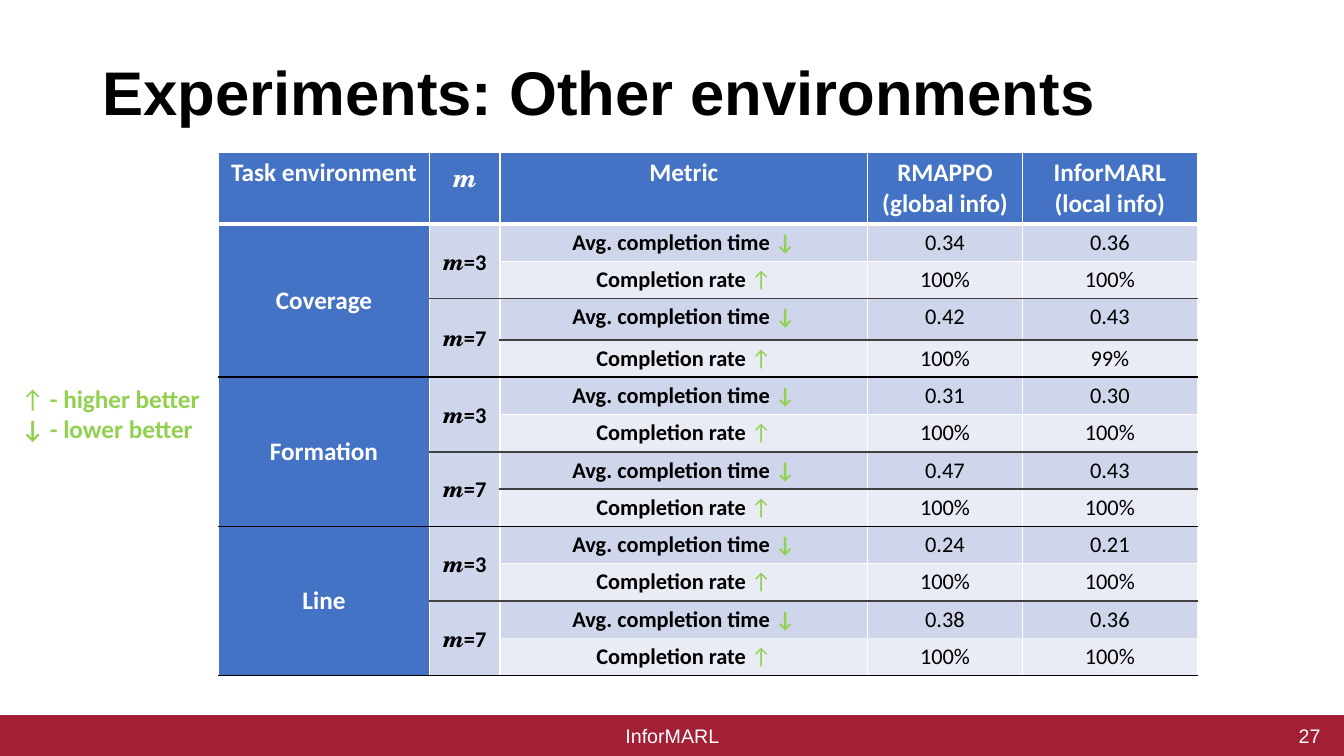
"""Build the slide comparing RMAPPO and InforMARL in three other environments."""
from dataclasses import dataclass
from typing import Optional

from lxml import etree
from pptx import Presentation
from pptx import util as u
from pptx.dml.color import RGBColor
from pptx.enum import shapes, text
from pptx.oxml.ns import qn

WHITE, BLACK, DARK = "FFFFFF", "000000", "404040"
BLUE, BAND, PALE = "4472C4", "CFD5EA", "E9EBF5"
GREEN, RED = "92D050", "A31F34"
MATH = "TeX Gyre Schola"
LEFT, CENTER, RIGHT = text.PP_ALIGN.LEFT, text.PP_ALIGN.CENTER, text.PP_ALIGN.RIGHT
TOP, MIDDLE = text.MSO_ANCHOR.TOP, text.MSO_ANCHOR.MIDDLE


@dataclass(frozen=True)
class Style:
    size: float
    color: str
    bold: bool = False
    font: str = "Calibri"
    align: text.PP_ALIGN = CENTER


@dataclass(frozen=True)
class Run:
    words: str
    color: Optional[str] = None
    bold: Optional[bool] = None
    font: Optional[str] = None
    italic: Optional[bool] = None


@dataclass(frozen=True)
class Line:
    color: str
    width: float


@dataclass(frozen=True)
class Result:
    agents: int
    times: tuple[str, str]
    rates: tuple[str, str] = ("100%", "100%")


@dataclass(frozen=True)
class Label:
    words: str
    left: float
    width: float
    align: text.PP_ALIGN


HEAD = Style(18, WHITE, True)
BODY = Style(16, BLACK)
STRONG = Style(16, BLACK, True)
LEGEND = Style(18, GREEN, True, align=LEFT)
M = Run("m", font=MATH, italic=True)
UP, DOWN = Run("↑", color=GREEN, bold=False), Run("↓", color=GREEN)
THIN = Line(WHITE, 1)

COLUMNS = (5.31, 1.78, 9.27, 3.89, 4.42)
HEADER = (
    [[Run("Task environment")]],
    [[M]],
    [[Run("Metric")]],
    [[Run("RMAPPO (global info)")]],
    [[Run("InforMARL")], [Run("(local info)")]],
)
RESULTS = {
    "Coverage": (Result(3, ("0.34", "0.36")), Result(7, ("0.42", "0.43"), ("100%", "99%"))),
    "Formation": (Result(3, ("0.31", "0.30")), Result(7, ("0.47", "0.43"))),
    "Line": (Result(3, ("0.24", "0.21")), Result(7, ("0.38", "0.36"))),
}
LABELS = (Label("InforMARL", 11.23, 11.43, CENTER), Label("27", 25.91, 7.62, RIGHT))
EDGES = {
    1: Line(WHITE, 3),
    **{row: Line(DARK, 1.5) for row in (3, 4, 7, 8, 11)},
    **{row: Line(BLACK, 1) for row in (5, 9, 13)},
    12: None,
}


def rgb(value: str) -> RGBColor:
    return RGBColor.from_string(value)


def write(tf, lines: list[list[Run]], style: Style) -> None:
    for i, runs in enumerate(lines):
        p = tf.paragraphs[0] if i == 0 else tf.add_paragraph()
        p.alignment = style.align
        p.font.size, p.font.bold, p.font.name = u.Pt(style.size), style.bold, style.font
        p.font.color.rgb = rgb(style.color)
        for run in runs:
            r = p.add_run()
            r.text = run.words
            if run.color:
                r.font.color.rgb = rgb(run.color)
            if run.bold is not None:
                r.font.bold = run.bold
            if run.font:
                r.font.name = run.font
            if run.italic:
                r.font.italic = True


def add_border(cell, side: str, line: Optional[Line]) -> None:
    props = cell._tc.get_or_add_tcPr()
    ln = etree.SubElement(props, qn(f"a:ln{side}"))
    if line is None:
        etree.SubElement(ln, qn("a:noFill"))
        return
    ln.set("w", str(u.Pt(line.width)))
    fill = etree.SubElement(ln, qn("a:solidFill"))
    etree.SubElement(fill, qn("a:srgbClr"), val=line.color)


def fill_cell(table, row: int, col: int, lines: list[list[Run]], style: Style,
              fill: str, span: int = 1, anchor: text.MSO_ANCHOR = TOP) -> None:
    cell = table.cell(row, col)
    if span > 1:
        cell.merge(table.cell(row + span - 1, col))
    borders = {"L": THIN, "R": THIN, "T": EDGES.get(row, THIN), "B": EDGES.get(row + span, THIN)}
    for side, line in borders.items():
        add_border(cell, side, line)
    cell.fill.solid()
    cell.fill.fore_color.rgb = rgb(fill)
    cell.vertical_anchor = anchor
    write(cell.text_frame, lines, style)


def add_results(s) -> None:
    heights = [1.79] + [0.94] * 12
    heights[3] = 1.04
    table = s.shapes.add_table(len(heights), len(COLUMNS), u.Cm(5.51), u.Cm(3.85),
                               u.Cm(sum(COLUMNS)), u.Cm(sum(heights))).table
    for column, width in zip(table.columns, COLUMNS):
        column.width = u.Cm(width)
    for row, height in zip(table.rows, heights):
        row.height = u.Cm(height)
    for col, lines in enumerate(HEADER):
        fill_cell(table, 0, col, lines, HEAD, BLUE)
    for i, (task, results) in enumerate(RESULTS.items()):
        first = 1 + 4 * i
        fill_cell(table, first, 0, [[Run(task)]], HEAD, BLUE, 4, MIDDLE)
        for j, result in enumerate(results):
            row = first + 2 * j
            fill_cell(table, row, 1, [[M, Run(f"={result.agents}")]], STRONG, BAND, 2, MIDDLE)
            metrics = (
                ("Avg. completion time ", DOWN, result.times, BAND),
                ("Completion rate ", UP, result.rates, PALE),
            )
            for k, (metric, arrow, values, fill) in enumerate(metrics):
                fill_cell(table, row + k, 2, [[Run(metric), arrow]], STRONG, fill)
                for col, value in enumerate(values, 3):
                    fill_cell(table, row + k, col, [[Run(value)]], BODY, fill)


def add_footer(s) -> None:
    bar = s.shapes.add_shape(shapes.MSO_SHAPE.RECTANGLE, 0, u.Cm(18.03), u.Cm(33.87), u.Cm(1.02))
    bar.shadow.inherit = False
    bar.fill.solid()
    bar.fill.fore_color.rgb = bar.line.color.rgb = rgb(RED)
    bar.line.width = u.Pt(1)
    for label in LABELS:
        sp = s.shapes.add_textbox(u.Cm(label.left), u.Cm(18.03), u.Cm(label.width), u.Cm(1.02))
        tf = sp.text_frame
        tf.word_wrap, tf.vertical_anchor = True, MIDDLE
        write(tf, [[Run(label.words)]], Style(14, WHITE, font="Arial", align=label.align))


def add_title(s) -> None:
    sp = s.shapes.title
    sp.left, sp.top, sp.width, sp.height = u.Cm(2.33), u.Cm(1.01), u.Cm(29.21), u.Cm(2.82)
    tf = sp.text_frame
    tf.auto_size, tf.vertical_anchor = text.MSO_AUTO_SIZE.NONE, MIDDLE
    write(tf, [[Run("Experiments: Other environments")]], Style(44, BLACK, True, "Arial", LEFT))
    tf.paragraphs[0].line_spacing = 0.9


def add_legend(s) -> None:
    sp = s.shapes.add_textbox(u.Cm(0.29), u.Cm(9.53), u.Cm(5.05), u.Cm(1.8))
    tf = sp.text_frame
    tf.word_wrap, tf.auto_size = False, text.MSO_AUTO_SIZE.SHAPE_TO_FIT_TEXT
    write(tf, [[UP, Run(" - higher better")], [Run("↓ - lower better")]], LEGEND)


def main() -> None:
    prs = Presentation()
    prs.slide_width, prs.slide_height = u.Cm(33.87), u.Cm(19.05)
    s = prs.slides.add_slide(prs.slide_layouts[5])
    add_footer(s)
    add_title(s)
    add_results(s)
    add_legend(s)
    prs.save("out.pptx")


if __name__ == "__main__":
    main()
